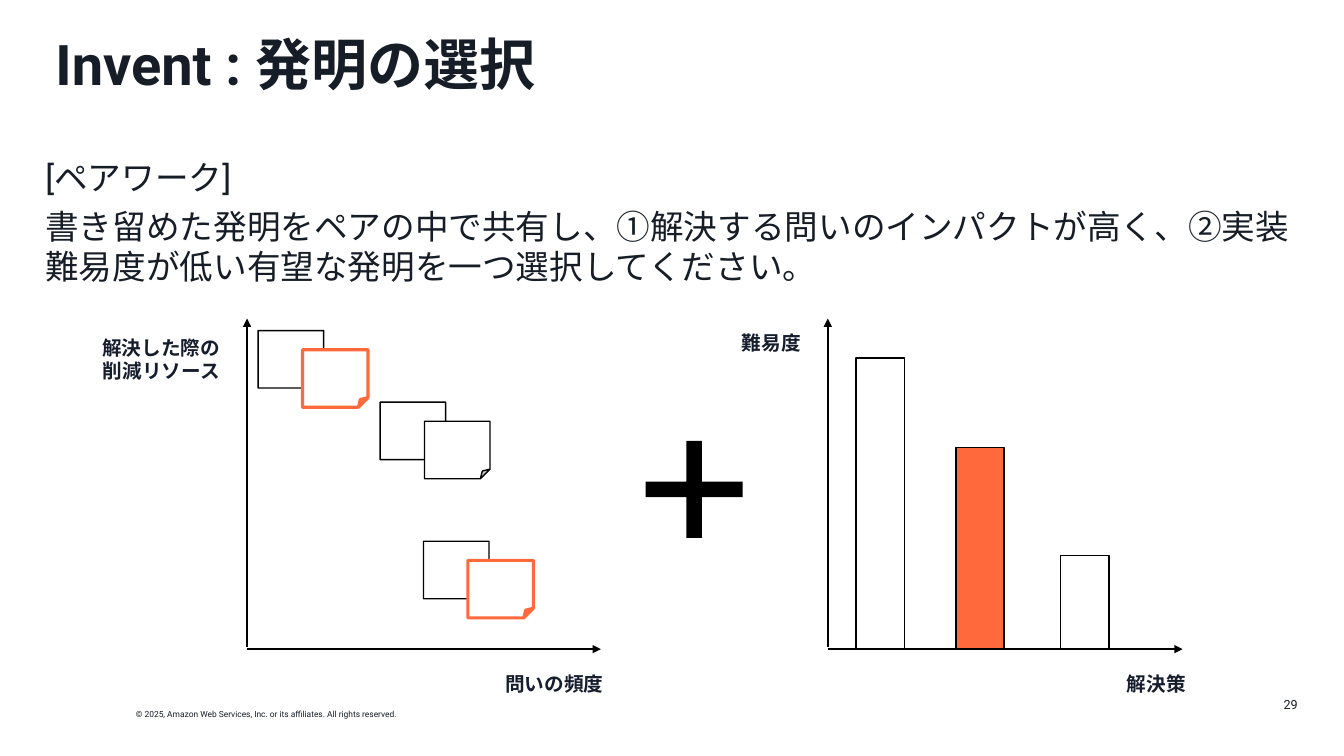
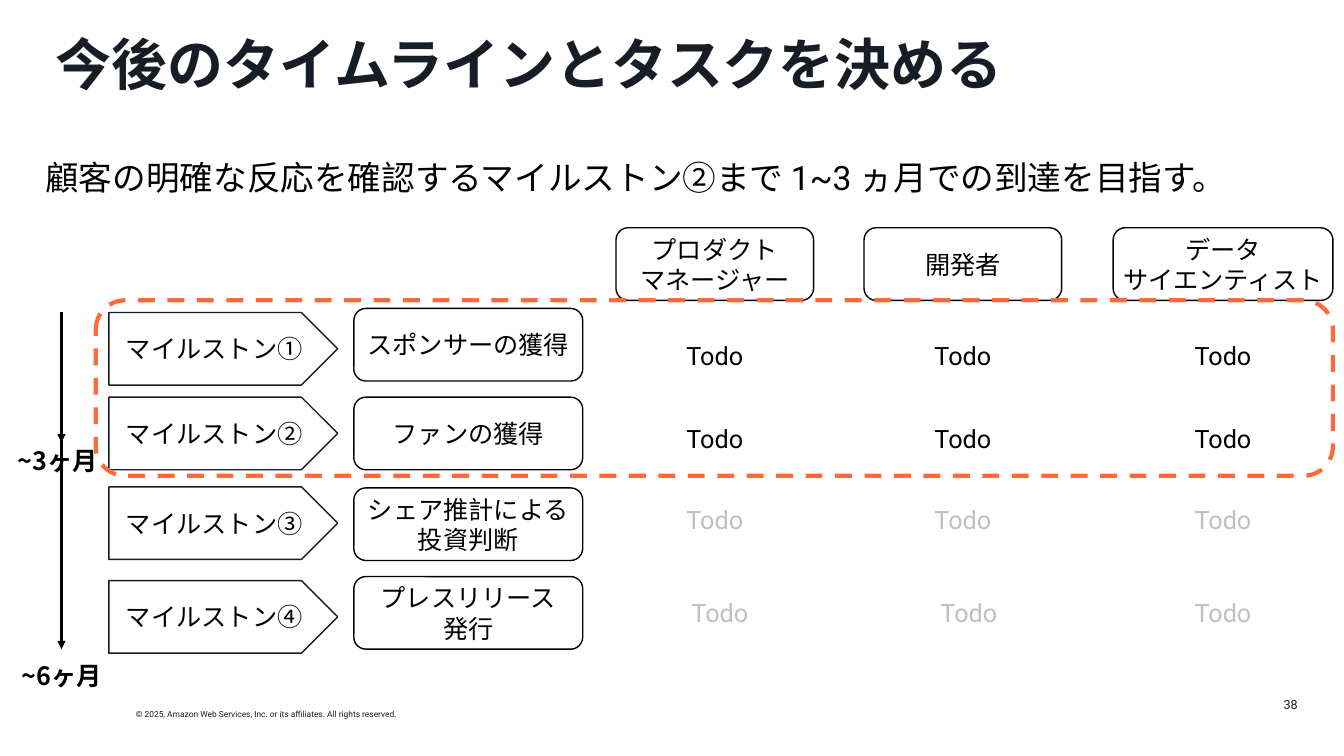
from collections import namedtuple
from dataclasses import dataclass

from lxml.etree import SubElement
from pptx import Presentation
from pptx.dml.color import RGBColor
from pptx.enum.dml import MSO_LINE
from pptx.enum.shapes import MSO_CONNECTOR, MSO_SHAPE
from pptx.enum.text import MSO_ANCHOR, MSO_AUTO_SIZE, PP_ALIGN
from pptx.oxml.ns import qn
from pptx.util import Emu, Pt

EMU_PER_PX = 9144  # 100 px to the inch
Box = namedtuple("Box", "left top width height")
PAGE = Box(0, 0, 1333, 750)


@dataclass(frozen=True)
class Theme:
    ink: str = "161D26"
    label: str = "161E2D"
    black: str = "000000"
    white: str = "FFFFFF"
    accent: str = "FF693C"
    muted: str = "BFBFBF"
    latin: str = "Roboto"
    japanese: str = "Noto Sans CJK JP"
    title_size: int = 40
    body_size: int = 24
    item_size: int = 18
    label_size: int = 14
    number_size: int = 9
    footer_size: int = 6


THEME = Theme()


def px(length):
    return Emu(round(length * EMU_PER_PX))


def place(box):
    return [px(length) for length in box]


def write(frame, text, *, size, color=THEME.black, font=THEME.latin, bold=False,
          align=PP_ALIGN.LEFT, anchor=MSO_ANCHOR.TOP, inset=(0, 5), wrap=True,
          space_after=0, line_spacing=None):
    """Fill a text frame, one paragraph for each line of text."""
    frame.word_wrap = wrap
    frame.auto_size = MSO_AUTO_SIZE.NONE
    frame.vertical_anchor = anchor
    frame.margin_left = frame.margin_right = px(inset[0])
    frame.margin_top = frame.margin_bottom = px(inset[1])
    for index, line in enumerate(text.split("\n")):
        para = frame.add_paragraph() if index else frame.paragraphs[0]
        para.alignment = align
        para.space_after = Pt(space_after)
        if line_spacing:
            para.line_spacing = line_spacing
        span = para.add_run()
        span.text = line
        span.font.size = Pt(size)
        span.font.bold = bold
        span.font.name = font
        span.font.color.rgb = RGBColor.from_string(color)
        properties = span.font._element
        SubElement(properties, qn("a:ea")).set("typeface", THEME.japanese)


def add_text(slide, box, text, **text_format):
    write(slide.shapes.add_textbox(*place(box)).text_frame, text, **text_format)


def add_shape(slide, preset, box, *, fill=None, line=THEME.black, weight=1, dash=None):
    shape = slide.shapes.add_shape(preset, *place(box))
    shape.shadow.inherit = False
    if fill:
        shape.fill.solid()
        shape.fill.fore_color.rgb = RGBColor.from_string(fill)
    else:
        shape.fill.background()
    if line:
        shape.line.color.rgb = RGBColor.from_string(line)
        shape.line.width = Pt(weight)
        shape.line.dash_style = dash
    else:
        shape.line.fill.background()
    return shape


def add_item(slide, preset, box, text, *, line=THEME.black, font=THEME.japanese):
    """Add an outlined shape with centred text."""
    shape = add_shape(slide, preset, box, line=line)
    write(shape.text_frame, text, size=THEME.item_size, font=font, inset=(5, 5),
          align=PP_ALIGN.CENTER, anchor=MSO_ANCHOR.MIDDLE)


def add_arrow(slide, start, end):
    arrow = slide.shapes.add_connector(MSO_CONNECTOR.STRAIGHT, *place(start + end))
    arrow.line.color.rgb = RGBColor.from_string(THEME.black)
    arrow.line.width = Pt(1.5)
    SubElement(arrow.line._get_or_add_ln(), qn("a:tailEnd")).set("type", "triangle")
    SubElement(arrow._element.spPr, qn("a:effectLst"))


def add_page(deck, title, number, body, *, body_height, body_color):
    """Add a slide with its title, opening text, footer and slide number."""
    slide = deck.slides.add_slide(deck.slide_layouts[5])
    heading = slide.shapes.title
    heading.left, heading.top, heading.width, heading.height = place(Box(45, 32, 1252, 68))
    write(heading.text_frame, title, size=THEME.title_size, color=THEME.ink, bold=True,
          inset=(10, 5), line_spacing=0.9)
    add_text(slide, Box(125, 699, 287, 20),
             "© 2025, Amazon Web Services, Inc. or its affiliates. All rights reserved.",
             size=THEME.footer_size, color=THEME.ink, inset=(10, 5), wrap=False)
    add_text(slide, Box(997, 679, 300, 40), str(number), size=THEME.number_size,
             color=THEME.ink, inset=(10, 5), align=PP_ALIGN.RIGHT, anchor=MSO_ANCHOR.MIDDLE)
    add_text(slide, Box(45, 151, 1252, body_height), body, size=THEME.body_size,
             color=body_color, space_after=6)
    return slide


def draw_axes(slide, plot, vertical, vertical_offset, horizontal, horizontal_offset):
    """Draw two axes along the plot box; offsets place the labels from its corner."""
    bottom = plot.top + plot.height
    add_arrow(slide, (plot.left, bottom - 2), (plot.left, plot.top))
    add_arrow(slide, (plot.left, bottom), (plot.left + plot.width, bottom))
    across, down = vertical_offset
    labels = [(vertical, plot.left + across, plot.top + down),
              (horizontal, plot.left + horizontal_offset, bottom + 18)]
    for text, left, top in labels:
        height = 34 + 23 * text.count("\n")
        add_text(slide, Box(left, top, 170, height), text, size=THEME.label_size,
                 color=THEME.label, bold=True, align=PP_ALIGN.CENTER)


def draw_impact_plot(slide, plot):
    draw_axes(slide, plot, "解決した際の\n削減リソース", (-170, 12), "問いの頻度", 220)
    for across, down, chosen in [(11, 12, True), (132, 83, False), (175, 221, True)]:
        note = Box(plot.left + across, plot.top + down, 65, 57)
        add_shape(slide, MSO_SHAPE.FOLDED_CORNER, note, fill=THEME.white)
        front = note._replace(left=note.left + 44, top=note.top + 19)
        add_shape(slide, MSO_SHAPE.FOLDED_CORNER, front, fill=THEME.white,
                  line=THEME.accent if chosen else THEME.black,
                  weight=2.25 if chosen else 1)


def draw_difficulty_plot(slide, plot):
    draw_axes(slide, plot, "難易度", (-141, 7), "解決策", 241)
    bottom = plot.top + plot.height
    for across, height, fill in [(28, 289, None), (127, 200, THEME.accent), (231, 93, None)]:
        bar = Box(plot.left + across, bottom - height, 48, height)
        add_shape(slide, MSO_SHAPE.RECTANGLE, bar, fill=fill)


def build_invention_page(deck):
    slide = add_page(
        deck, "Invent : 発明の選択", 29,
        "[ペアワーク]\n書き留めた発明をペアの中で共有し、①解決する問いのインパクトが高く、"
        "②実装難易度が低い有望な発明を一つ選択してください。",
        body_height=140, body_color=THEME.ink)
    draw_impact_plot(slide, Box(245, 316, 351, 328))
    plus = add_shape(slide, MSO_SHAPE.MATH_PLUS, Box(623, 420, 131, 131),
                     fill=THEME.black, line=None)
    plus.adjustments[0] = 0.118
    draw_difficulty_plot(slide, Box(821, 316, 352, 328))


def draw_timeline(slide, box):
    center = box.left + box.width // 2
    bottom = box.top + box.height
    add_arrow(slide, (center, box.top), (center, bottom))
    add_arrow(slide, (center, box.top + 32), (center, box.top + 129))
    for text, left, top in [("~3ヶ月", box.left - 4, box.top + 127),
                            ("~6ヶ月", box.left, bottom + 6)]:
        add_text(slide, Box(left, top, box.width, 40), text, size=THEME.item_size,
                 font=THEME.japanese, bold=True, align=PP_ALIGN.CENTER)


def draw_task_grid(slide, grid):
    """Draw roles across the top, milestones down the side and tasks where they meet."""
    item_height, step_width, todo_width = 72, 227, 196
    # Role, left edge, width, shift of its last task
    roles = [("プロダクト\nマネージャー", 503, 196, 5),
             ("開発者", 749, 196, 6),
             ("データ\nサイエンティスト", 996, 218, 0)]
    # Milestone, outcome, outcome font, tops of milestone, outcome and task, task colour
    milestones = [
        ("①", "スポンサーの獲得", THEME.japanese, 84, 80, 107, THEME.black),
        ("②", "ファンの獲得", THEME.japanese, 168, 168, 189, THEME.black),
        ("③", "シェア推計による投資判断", THEME.latin, 257, 258, 269, THEME.muted),
        ("④", "プレスリリース\n発行", THEME.japanese, 350, 346, 362, THEME.muted),
    ]
    for role, left, width, _ in roles:
        box = Box(grid.left + left, grid.top, width, item_height)
        add_item(slide, MSO_SHAPE.ROUNDED_RECTANGLE, box, role)
    for row in milestones:
        mark, outcome, font, step_top, outcome_top, todo_top, color = row
        step = Box(grid.left, grid.top + step_top, step_width, item_height)
        add_item(slide, MSO_SHAPE.PENTAGON, step, "マイルストン" + mark, line=THEME.ink)
        result = step._replace(left=grid.left + 243, top=grid.top + outcome_top)
        add_item(slide, MSO_SHAPE.ROUNDED_RECTANGLE, result, outcome, font=font)
        for _, left, width, last_shift in roles:
            shift = last_shift if row is milestones[-1] else 0
            todo_left = grid.left + left + (width - todo_width) // 2 + shift
            add_text(slide, Box(todo_left, grid.top + todo_top, todo_width, 40), "Todo",
                     size=THEME.item_size, color=color, align=PP_ALIGN.CENTER)
    focus = Box(grid.left - 13, grid.top + item_height, grid.width + 13, 174)
    add_shape(slide, MSO_SHAPE.ROUNDED_RECTANGLE, focus, line=THEME.accent, weight=3,
              dash=MSO_LINE.DASH)


def build_timeline_page(deck):
    slide = add_page(
        deck, "今後のタイムラインとタスクを決める", 38,
        "顧客の明確な反応を確認するマイルストン②まで 1~3 ヵ月での到達を目指す。",
        body_height=50, body_color=THEME.black)
    draw_task_grid(slide, Box(108, 226, 1214, 422))
    draw_timeline(slide, Box(0, 310, 123, 334))


def main():
    deck = Presentation()
    deck.slide_width, deck.slide_height = px(PAGE.width), px(PAGE.height)
    build_invention_page(deck)
    build_timeline_page(deck)
    deck.save("out.pptx")


if __name__ == "__main__":
    main()
